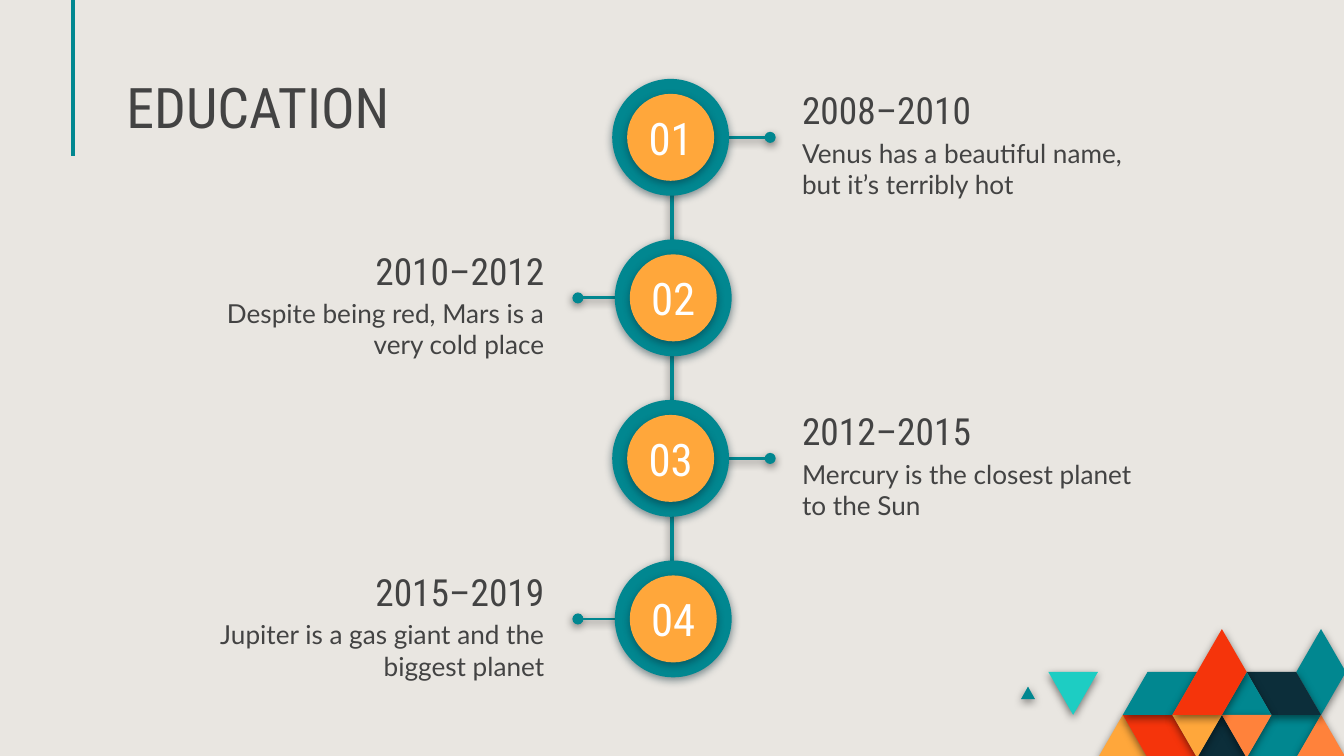
from lxml.etree import SubElement
from pptx import Presentation
from pptx.dml.color import RGBColor
from pptx.enum.shapes import MSO_CONNECTOR, MSO_SHAPE
from pptx.enum.text import MSO_ANCHOR, MSO_AUTO_SIZE, PP_ALIGN
from pptx.oxml.ns import qn
from pptx.util import Pt

SAND = RGBColor(0xE9, 0xE6, 0xE1)
TEAL = RGBColor(0x01, 0x87, 0x90)
TURQUOISE = RGBColor(0x1D, 0xCD, 0xC3)
AMBER = RGBColor(0xFF, 0xA7, 0x3B)
ORANGE = RGBColor(0xFF, 0x82, 0x3B)
RED = RGBColor(0xF5, 0x34, 0x0B)
NAVY = RGBColor(0x0C, 0x2E, 0x3A)
GREY = RGBColor(0x43, 0x43, 0x43)
WHITE = RGBColor(0xFF, 0xFF, 0xFF)
BLACK = RGBColor(0, 0, 0)

HEADING_FONT = "Roboto Condensed"
BODY_FONT = "Lato"

STAGES = [
    ("2008–2010", "Venus has a beautiful name, but it’s terribly hot"),
    ("2010–2012", "Despite being red, Mars is a very cold place"),
    ("2012–2015", "Mercury is the closest planet to the Sun"),
    ("2015–2019", "Jupiter is a gas giant and the biggest planet"),
]

TILES = [
    (AMBER, [(0, 0), (1, 1), (2, 0)]),
    (RED, [(1, 1), (3, 1), (4, 0), (2, 0)]),
    (TEAL, [(6, 0), (7, 1), (9, 1), (8, 0)]),
    (ORANGE, [(8, 0), (9, 1), (10, 0)]),
    (NAVY, [(4, 0), (5, 1), (6, 0)]),
    (TEAL, [(1, 1), (2, 2), (4, 2), (3, 1)]),
    (TEAL, [(-3.1, 1.37), (-2.82, 1.66), (-2.54, 1.37)]),
    (TURQUOISE, [(-2, 2), (0, 2), (-1, 1)]),
    (TEAL, [(8, 2), (9, 3), (10, 2), (9, 1)]),
    (NAVY, [(6, 2), (8, 2), (9, 1), (7, 1)]),
    (TEAL, [(5, 1), (6, 2), (7, 1)]),
    (ORANGE, [(5, 1), (7, 1), (6, 0)]),
    (AMBER, [(3, 1), (5, 1), (4, 0)]),
    (RED, [(3, 1), (5, 3), (6, 2), (5, 1)]),
]


def add_effects(shape, color=None):
    effects = SubElement(shape._element.spPr, qn("a:effectLst"))
    if color is None:
        return
    shadow = SubElement(effects, qn("a:outerShdw"), blurRad=str(Pt(4.5)),
                        dist=str(Pt(1.5)), dir="5400000", algn="bl", rotWithShape="0")
    tint = SubElement(shadow, qn("a:srgbClr"), val=str(color))
    SubElement(tint, qn("a:alpha"), val="50000")


def paint(shape, color, shadow_color):
    shape.fill.solid()
    shape.fill.fore_color.rgb = color
    shape.line.fill.background()
    add_effects(shape, shadow_color)


def add_line(slide, start, end, width, shadow_color=None, dot=False):
    line = slide.shapes.add_connector(
        MSO_CONNECTOR.STRAIGHT, Pt(start[0]), Pt(start[1]), Pt(end[0]), Pt(end[1]))
    line.line.color.rgb = TEAL
    line.line.width = Pt(width)
    if dot:
        SubElement(line._element.spPr.find(qn("a:ln")), qn("a:tailEnd"), type="oval")
    add_effects(line, shadow_color)


def add_text(slide, box, text, size, font, color, align, anchor=MSO_ANCHOR.TOP):
    text_box = slide.shapes.add_textbox(*(Pt(length) for length in box))
    write(text_box.text_frame, text, size, font, color, align, anchor)


def write(frame, text, size, font, color, align, anchor):
    frame.word_wrap = True
    frame.auto_size = MSO_AUTO_SIZE.NONE
    frame.vertical_anchor = anchor
    frame.margin_left = frame.margin_right = Pt(7.2)
    frame.margin_top = frame.margin_bottom = Pt(7.2)
    paragraph = frame.paragraphs[0]
    paragraph.alignment = align
    run = paragraph.add_run()
    run.text = text
    run.font.size = Pt(size)
    run.font.name = font
    run.font.color.rgb = color


def add_title(slide, left, top, width, height):
    add_line(slide, (left - 21.5, 0), (left - 21.5, top + height + 1.5), 2.25)
    title = slide.shapes.title
    title.left, title.top = Pt(left), Pt(top)
    title.width, title.height = Pt(width), Pt(height)
    write(title.text_frame, "EDUCATION", 30, HEADING_FONT, GREY,
          PP_ALIGN.LEFT, MSO_ANCHOR.BOTTOM)
    title.text_frame.paragraphs[0].line_spacing = 0.8


def add_mosaic(slide, left, bottom, column_step, row_step):
    for color, corners in TILES:
        points = [(Pt(left + column * column_step), Pt(bottom - row * row_step))
                  for column, row in corners]
        builder = slide.shapes.build_freeform(*points[0])
        builder.add_line_segments(points[1:], close=True)
        paint(builder.convert_to_shape(), color, BLACK)


def add_badge(slide, center, middle, number):
    for diameter, color in ((62.6, TEAL), (46.6, AMBER)):
        disc = slide.shapes.add_shape(
            MSO_SHAPE.OVAL, Pt(center - diameter / 2), Pt(middle - diameter / 2),
            Pt(diameter), Pt(diameter))
        paint(disc, color, NAVY)
    add_text(slide, (center - 28, middle - 17.5, 56, 35), number, 24,
             HEADING_FONT, WHITE, PP_ALIGN.CENTER, MSO_ANCHOR.MIDDLE)


def add_stage(slide, axis, middle, number, years, description, side):
    center = axis - 0.7 * side
    dot = axis + (52.6 if side > 0 else -50.4)
    add_line(slide, (center + 23.3 * side, middle), (dot, middle), 1.5, BLACK, dot=True)
    add_badge(slide, center, middle, number)
    align = PP_ALIGN.LEFT if side > 0 else PP_ALIGN.RIGHT
    for text, size, font, width, height, rise in (
            (description, 14, BODY_FONT, 195, 42, 7.4),
            (years, 20, HEADING_FONT, 116.6, 31, 34)):
        left = axis + 62.6 if side > 0 else axis - 61.2 - width
        add_text(slide, (left, middle - rise, width, height), text, size, font, GREY, align)


def add_timeline(slide, axis, first_middle, step):
    last_middle = first_middle + step * (len(STAGES) - 1)
    add_line(slide, (axis, first_middle), (axis, last_middle), 2.25, BLACK)
    for index, (years, description) in enumerate(STAGES):
        side = 1 if index % 2 == 0 else -1
        add_stage(slide, axis, first_middle + index * step, f"{index + 1:02}",
                  years, description, side)


def main():
    presentation = Presentation()
    presentation.slide_width, presentation.slide_height = Pt(720), Pt(405)
    slide = presentation.slides.add_slide(presentation.slide_layouts[5])
    slide.background.fill.solid()
    slide.background.fill.fore_color.rgb = SAND
    add_mosaic(slide, 588.2, 406, 13.28, 23)
    add_title(slide, 60.5, 36.7, 299.5, 45.3)
    add_timeline(slide, 360, 73.6, 86)
    presentation.save("out.pptx")


if __name__ == "__main__":
    main()
